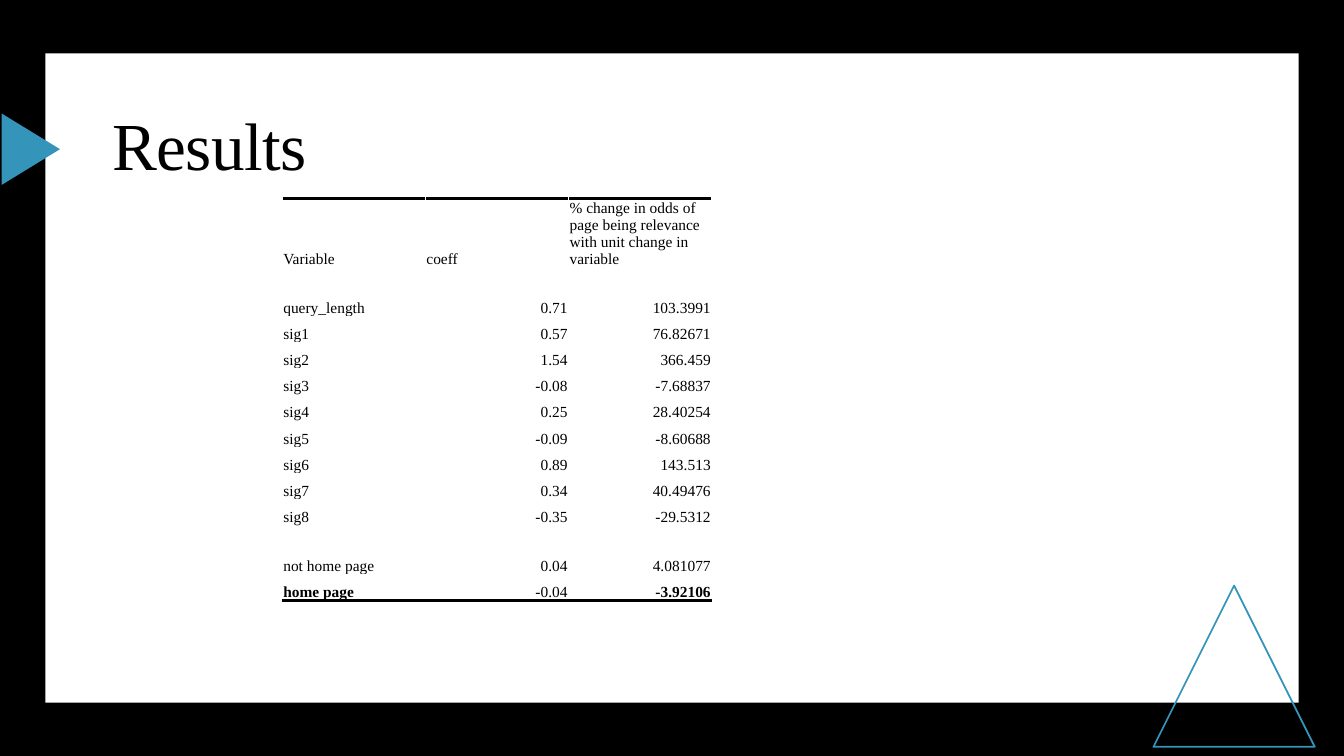
from lxml import etree
from pptx import Presentation
from pptx.dml.color import RGBColor
from pptx.enum.shapes import MSO_SHAPE
from pptx.enum.text import MSO_ANCHOR, PP_ALIGN
from pptx.oxml.ns import qn
from pptx.util import Inches, Pt

BLACK = RGBColor(0x00, 0x00, 0x00)
WHITE = RGBColor(0xFF, 0xFF, 0xFF)
BLUE = RGBColor(0x34, 0x94, 0xBA)
FONT = "Times New Roman"
RECTANGLE = MSO_SHAPE.RECTANGLE
TRIANGLE = MSO_SHAPE.ISOSCELES_TRIANGLE
BOTTOM = MSO_ANCHOR.BOTTOM
MIDDLE = MSO_ANCHOR.MIDDLE
LEFT = PP_ALIGN.LEFT
RIGHT = PP_ALIGN.RIGHT

RESULTS = [
    ("Variable", "coeff",
     "% change in odds of page being relevance with unit change in variable"),
    ("query_length", "0.71", "103.3991"),
    ("sig1", "0.57", "76.82671"),
    ("sig2", "1.54", "366.459"),
    ("sig3", "-0.08", "-7.68837"),
    ("sig4", "0.25", "28.40254"),
    ("sig5", "-0.09", "-8.60688"),
    ("sig6", "0.89", "143.513"),
    ("sig7", "0.34", "40.49476"),
    ("sig8", "-0.35", "-29.5312"),
    ("not home page", "0.04", "4.081077"),
    ("home page", "-0.04", "-3.92106"),
]
LAST_ROW = len(RESULTS) - 1
GROUP_STARTS = ("query_length", "not home page")
BOLD_TEXTS = ("home page", "-3.92106")


def add_shape(slide, kind, left, top, width, height, fill=None, line=None, rotation=0):
    shape = slide.shapes.add_shape(
        kind, Inches(left), Inches(top), Inches(width), Inches(height))
    shape.shadow.inherit = False
    shape.rotation = rotation
    if fill is None:
        shape.fill.background()
    else:
        shape.fill.solid()
        shape.fill.fore_color.rgb = fill
    if line is None:
        shape.line.fill.background()
    else:
        shape.line.color.rgb = line
        shape.line.width = Pt(1.25)


def format_run(run, size, bold=False):
    run.font.name = FONT
    run.font.size = Pt(size)
    run.font.bold = bold
    run.font.color.rgb = BLACK


def add_title(slide, text):
    box = slide.shapes.add_textbox(Inches(1.02), Inches(0.98), Inches(11.43), Inches(1))
    frame = box.text_frame
    frame.word_wrap = True
    frame.vertical_anchor = MIDDLE
    frame.text = text
    paragraph = frame.paragraphs[0]
    paragraph.line_spacing = 0.9
    run = paragraph.runs[0]
    format_run(run, 48)
    run.font._element.set("spc", "-50")


def add_border(cell, tag):
    border = etree.Element(qn(tag), w=str(Pt(2)))
    fill = etree.SubElement(border, qn("a:solidFill"))
    etree.SubElement(fill, qn("a:srgbClr"), val=str(BLACK))
    cell._tc.get_or_add_tcPr().insert(0, border)


def fill_cell(cell, text, alignment):
    cell.fill.solid()
    cell.fill.fore_color.rgb = WHITE
    cell.vertical_anchor = BOTTOM
    cell.margin_left = cell.margin_right = cell.margin_top = Inches(0.01)
    cell.margin_bottom = 0
    cell.text_frame.text = text
    paragraph = cell.text_frame.paragraphs[0]
    paragraph.alignment = alignment
    format_run(paragraph.runs[0], 11, text in BOLD_TEXTS)


def add_results_table(slide):
    frame = slide.shapes.add_table(
        len(RESULTS), 3, Inches(2.8), Inches(1.97), Inches(4.26), Inches(3.56))
    table = frame.table
    table.first_row = False
    table.horz_banding = False
    for column in table.columns:
        column.width = Inches(1.42)
    for row_index, values in enumerate(RESULTS):
        table.rows[row_index].height = Inches(0.48 if values[0] in GROUP_STARTS else 0.26)
        for column_index, text in enumerate(values):
            cell = table.cell(row_index, column_index)
            fill_cell(cell, text, RIGHT if row_index and column_index else LEFT)
            if row_index == 0:
                add_border(cell, "a:lnT")
            elif row_index == LAST_ROW:
                add_border(cell, "a:lnB")


def main():
    presentation = Presentation()
    presentation.slide_width = Inches(13.33)
    presentation.slide_height = Inches(7.5)
    slide = presentation.slides.add_slide(presentation.slide_layouts[6])
    slide.background.fill.solid()
    slide.background.fill.fore_color.rgb = BLACK
    add_shape(slide, RECTANGLE, 0.45, 0.53, 12.43, 6.44, fill=WHITE)
    add_shape(slide, TRIANGLE, 11.44, 5.81, 1.6, 1.6, line=BLUE)
    add_shape(slide, TRIANGLE, -0.05, 1.19, 0.71, 0.58, fill=BLUE, rotation=90)
    add_results_table(slide)
    add_title(slide, "Results")
    presentation.save("out.pptx")


if __name__ == "__main__":
    main()
